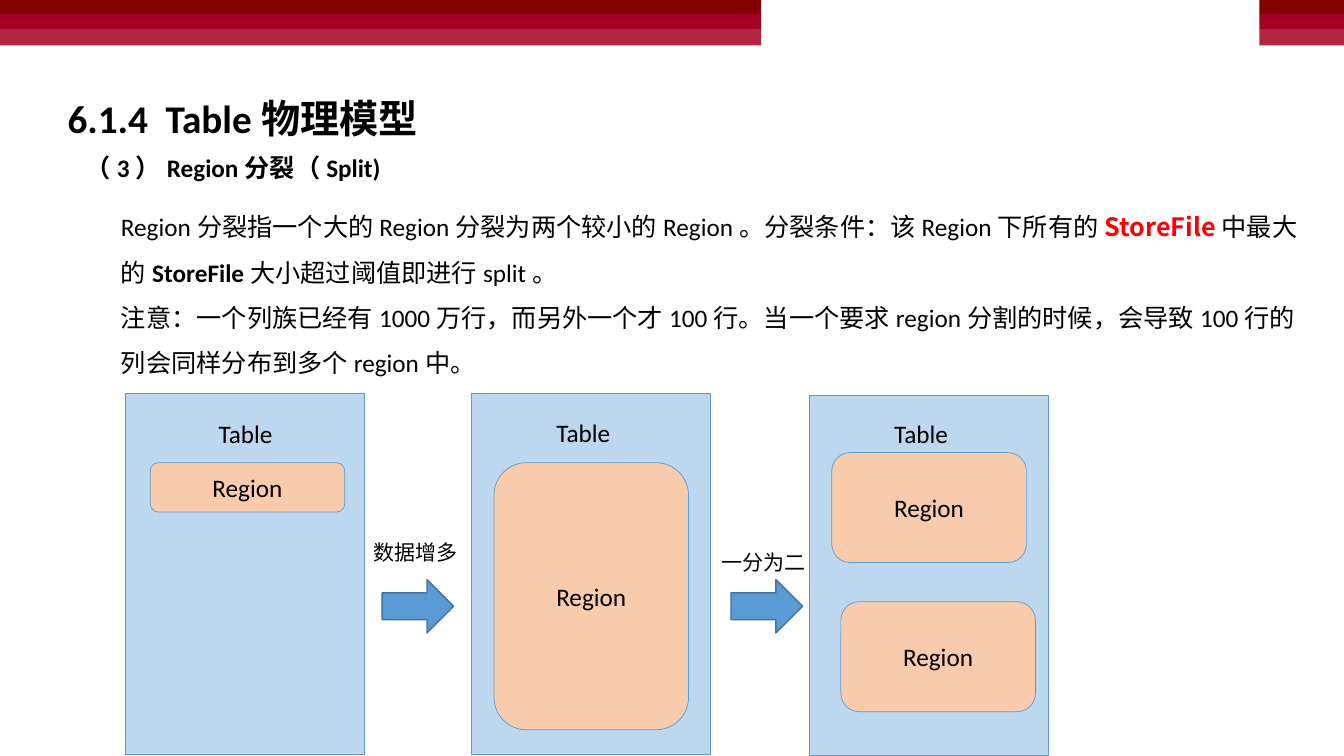
from lxml import etree
from pptx import Presentation
from pptx.dml.color import RGBColor
from pptx.enum.shapes import MSO_SHAPE
from pptx.enum.text import MSO_ANCHOR, MSO_AUTO_SIZE, PP_ALIGN
from pptx.oxml.ns import qn
from pptx.util import Emu, Pt

RECTANGLE = MSO_SHAPE.RECTANGLE
ROUNDED = MSO_SHAPE.ROUNDED_RECTANGLE
ARROW = MSO_SHAPE.RIGHT_ARROW
LEFT, CENTER = PP_ALIGN.LEFT, PP_ALIGN.CENTER
TOP, MIDDLE = MSO_ANCHOR.TOP, MSO_ANCHOR.MIDDLE
NO_AUTOFIT = MSO_AUTO_SIZE.NONE

EMU_PER_PX = 9144  # 100 px to the inch
LATIN_FONT, CJK_FONT = "Calibri", "Noto Sans CJK SC"
BLACK, RED = "000000", "FF0000"
BAND_COLORS = ("800000", "A50021", "B22642")
PANEL_FILL, REGION_FILL, BLUE, DARK_BLUE = "BDD7EE", "F8CBAD", "5B9BD5", "43739E"


def px(length):
    return Emu(length * EMU_PER_PX)


def color(hex_text):
    return RGBColor.from_string(hex_text)


def add_run(paragraph, text, size=18, font=LATIN_FONT, fill=BLACK, bold=False):
    run = paragraph.add_run()
    run.text = text
    run.font.size = Pt(size)
    run.font.name = font
    run.font.bold = bold
    run.font.color.rgb = color(fill)
    east_asian = etree.SubElement(run.font._element, qn("a:ea"))
    east_asian.set("typeface", CJK_FONT)


def write_text(shape, paragraphs, align=LEFT, anchor=TOP, spacing=1.0, **run_format):
    """Each paragraph is a list of (text, format overrides) runs."""
    frame = shape.text_frame
    frame.word_wrap = True
    frame.auto_size = NO_AUTOFIT
    frame.vertical_anchor = anchor
    for index, runs in enumerate(paragraphs):
        paragraph = frame.paragraphs[0] if index == 0 else frame.add_paragraph()
        paragraph.alignment = align
        paragraph.line_spacing = spacing
        paragraph.space_before = Pt(0)
        for text, overrides in runs:
            add_run(paragraph, text, **{**run_format, **overrides})


def add_label(slide, box, text, **text_format):
    shape = slide.shapes.add_textbox(*map(px, box))
    write_text(shape, [[(text, {})]], **text_format)


def add_block(slide, kind, box, fill, line=None, line_width=0.5):
    shape = slide.shapes.add_shape(kind, *map(px, box))
    shape.shadow.inherit = False
    shape.fill.solid()
    shape.fill.fore_color.rgb = color(fill)
    if line:
        shape.line.color.rgb = color(line)
        shape.line.width = Pt(line_width)
    else:
        shape.line.fill.background()
    return shape


def place(placeholder, box):
    placeholder.left, placeholder.top, placeholder.width, placeholder.height = map(px, box)


def add_bands(slide, left, width):
    edges = (0, 14, 29, 45)
    for fill, top, bottom in zip(BAND_COLORS, edges, edges[1:]):
        add_block(slide, RECTANGLE, (left, top, width, bottom - top), fill)


def add_heading(slide, box):
    left, top, width, height = box
    title = slide.shapes.title
    place(title, box)
    write_text(title, [[("6.1.4  Table物理模型", {})]], size=28, bold=True)
    add_label(slide, (left + 18, top + height, 331, 40), "（3）Region分裂（Split)", bold=True)


def add_body(slide, box):
    body = slide.placeholders[1]
    place(body, box)
    write_text(body, [
        [("Region分裂指一个大的Region分裂为两个较小的Region。分裂条件：该Region下所有的", {}),
         ("StoreFile", {"font": CJK_FONT, "fill": RED, "bold": True}),
         ("中最大的", {}),
         ("StoreFile", {"bold": True}),
         ("大小超过阈值即进行split。", {})],
        [("注意：一个列族已经有1000万行，而另外一个才100行。"
          "当一个要求region分割的时候，会导致100行的列会同样分布到多个region中。", {})],
    ], spacing=1.5)
    # Plain paragraphs: no bullet and no hanging indent
    for paragraph in body.text_frame.paragraphs:
        properties = paragraph._p.get_or_add_pPr()
        properties.set("marL", "0")
        properties.set("indent", "0")
        etree.SubElement(properties, qn("a:buNone"))


def add_table_panel(slide, box, label_offset, regions):
    """Regions are (left, top, height), measured from the panel's corner."""
    left, top, width, height = box
    add_block(slide, RECTANGLE, box, PANEL_FILL, BLUE)
    label_left, label_top = label_offset
    add_label(slide, (left + label_left, top + label_top, 195, 40), "Table", align=CENTER)
    for region_left, region_top, region_height in regions:
        region = add_block(slide, ROUNDED,
                           (left + region_left, top + region_top, 193, region_height),
                           REGION_FILL, BLUE)
        write_text(region, [[("Region", {})]], align=CENTER, anchor=MIDDLE)


def add_step(slide, box, text, label_left, label_top):
    add_block(slide, ARROW, box, BLUE, DARK_BLUE, line_width=1)
    add_label(slide, (label_left, label_top, 120, 35), text, size=15)


def add_split_diagram(slide, left, top):
    # Tables before growth, after growth and after the split
    add_table_panel(slide, (left, top, 237, 358), (22, 20), [(25, 69, 49)])
    add_table_panel(slide, (left + 344, top, 237, 358), (13, 19), [(22, 69, 265)])
    add_table_panel(slide, (left + 679, top + 2, 237, 357), (13, 18),
                    [(22, 57, 109), (31, 205, 109)])
    # Steps between the tables
    add_step(slide, (left + 255, top + 185, 71, 53), "数据增多", left + 237, top + 140)
    add_step(slide, (left + 601, top + 185, 71, 53), "一分为二", left + 582, top + 150)


def main():
    presentation = Presentation()
    presentation.slide_width, presentation.slide_height = px(1333), px(750)
    slide = presentation.slides.add_slide(presentation.slide_layouts[1])
    add_bands(slide, 0, 755)
    add_bands(slide, 1249, 84)
    add_heading(slide, (57, 89, 557, 57))
    add_split_diagram(slide, 124, 390)
    add_body(slide, (110, 190, 1200, 192))
    presentation.save("out.pptx")


if __name__ == "__main__":
    main()
